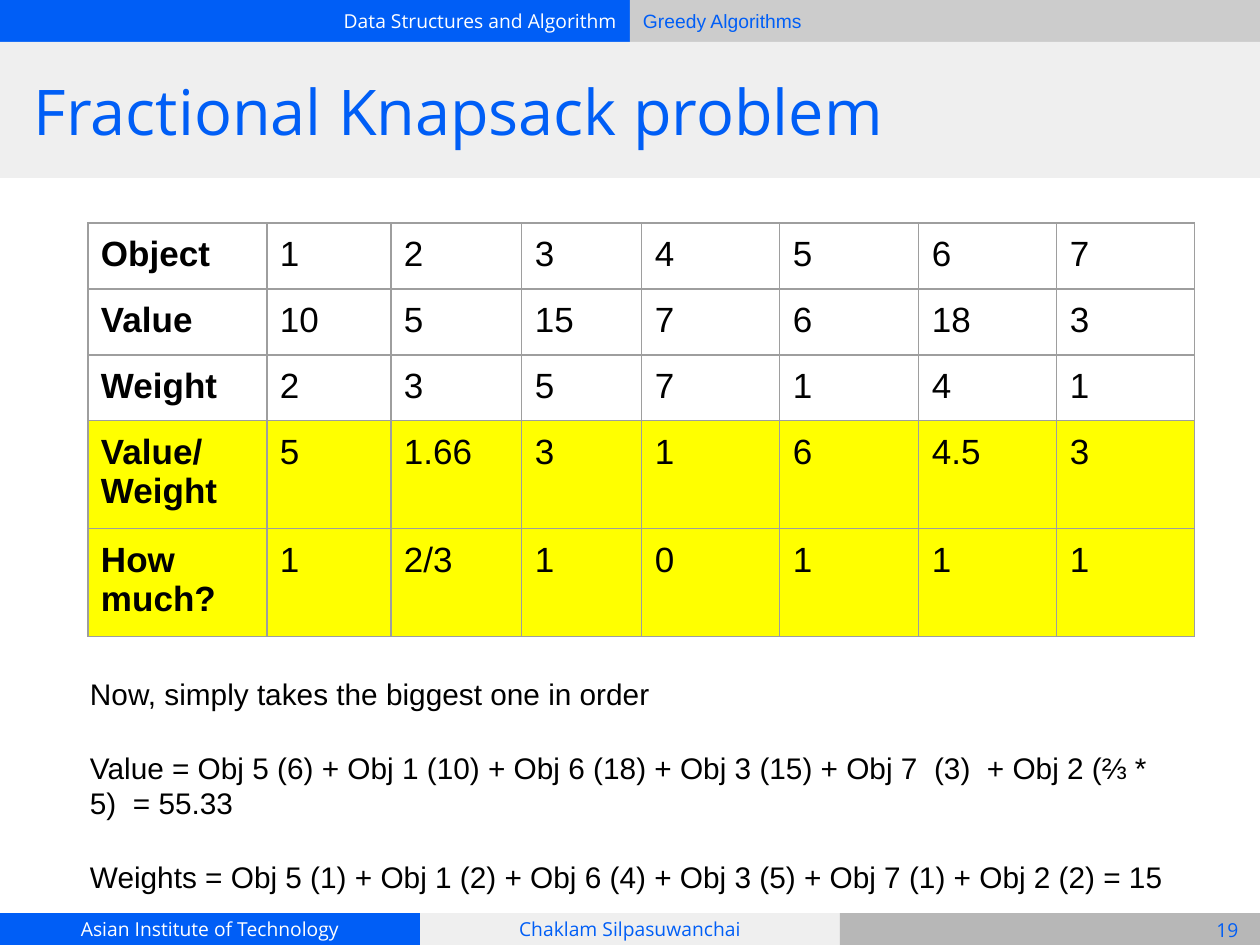
"""Build the fractional knapsack slide with its value table and greedy totals."""
from dataclasses import dataclass

from lxml import etree
from pptx import Presentation
from pptx.dml.color import RGBColor
from pptx.enum.shapes import MSO_SHAPE
from pptx.enum.text import MSO_ANCHOR, PP_ALIGN
from pptx.oxml.ns import qn
from pptx.util import Emu, Pt

RECTANGLE = MSO_SHAPE.RECTANGLE
TOP, MIDDLE = MSO_ANCHOR.TOP, MSO_ANCHOR.MIDDLE
LEFT, CENTER, RIGHT = PP_ALIGN.LEFT, PP_ALIGN.CENTER, PP_ALIGN.RIGHT
EMU_PER_PX = 914400 / 126


@dataclass(frozen=True)
class Theme:
    """Colours, fonts, type sizes in points and paddings in px."""

    blue: str = "005EF6"
    white: str = "FFFFFF"
    black: str = "000000"
    pale: str = "EFEFEF"
    silver: str = "CCCCCC"
    grey: str = "B7B7B7"
    highlight: str = "FFFF00"
    border: str = "9E9E9E"
    display_font: str = "Open Sans"
    body_font: str = "Arial"
    title_size: int = 36
    table_size: int = 20
    body_size: int = 17
    band_size: int = 11
    border_width: float = 0.75
    paragraph_gap: float = 21.6
    side_padding: int = 13
    end_padding: int = 12


THEME = Theme()


@dataclass(frozen=True)
class Box:
    """A rectangle on the slide in px."""

    left: int
    top: int
    width: int
    height: int


@dataclass(frozen=True)
class Band:
    """A filled strip with an optional label."""

    box: Box
    fill: str
    label: str = ""
    color: str = THEME.blue
    font: str = THEME.display_font
    align: PP_ALIGN = CENTER


@dataclass(frozen=True)
class Row:
    """A table row with a bold heading."""

    heading: str
    values: tuple[str, ...]
    height: int = 64
    highlighted: bool = False


SLIDE = Box(0, 0, 1260, 945)
TITLE_BOX = Box(21, 42, 1218, 136)
PAGE_BOX = Box(1195, 915, 65, 30)
TABLE_ORIGIN = (88, 223)
COLUMN_WIDTHS = (179, 124, 131, 120, 138, 139, 138, 138)
WORKING_BOX = Box(77, 664, 1108, 215)

BANDS = (
    Band(Box(0, 0, 630, 42), THEME.blue, "Data Structures and Algorithm", THEME.white, align=RIGHT),
    Band(Box(630, 0, 630, 42), THEME.silver, "Greedy Algorithms", font=THEME.body_font, align=LEFT),
    Band(Box(0, 913, 420, 32), THEME.blue, "Asian Institute of Technology", THEME.white),
    Band(Box(420, 913, 420, 32), THEME.pale, "Chaklam Silpasuwanchai"),
    Band(Box(840, 913, 420, 32), THEME.grey),
    Band(Box(0, 42, 1260, 136), THEME.pale),
)

ROWS = (
    Row("Object", ("1", "2", "3", "4", "5", "6", "7")),
    Row("Value", ("10", "5", "15", "7", "6", "18", "3")),
    Row("Weight", ("2", "3", "5", "7", "1", "4", "1")),
    Row("Value/\nWeight", ("5", "1.66", "3", "1", "6", "4.5", "3"), 103, True),
    Row("How much?", ("1", "2/3", "1", "0", "1", "1", "1"), 103, True),
)

WORKING = (
    "Now, simply takes the biggest one in order",
    "Value = Obj 5 (6) + Obj 1 (10) + Obj 6 (18) + Obj 3 (15) + Obj 7  (3)  + Obj 2 (⅔ * 5)  = 55.33",
    "Weights = Obj 5 (1) + Obj 1 (2) + Obj 6 (4) + Obj 3 (5) + Obj 7 (1) + Obj 2 (2) = 15",
)


def px(length: int) -> Emu:
    """Turn px into EMU."""
    return Emu(round(length * EMU_PER_PX))


def place(box: Box) -> tuple[Emu, ...]:
    """Give left, top, width and height in EMU."""
    return px(box.left), px(box.top), px(box.width), px(box.height)


def set_all(target, values: dict) -> None:
    """Set every attribute named in the format values."""
    for name, value in values.items():
        setattr(target, name, value)


def write(frame, text: str, font: str, size: int, color: str, align=LEFT,
          bold: bool = False, gap: float = 0) -> None:
    """Fill a text frame and format each of its paragraphs."""
    frame.text = text
    for index, paragraph in enumerate(frame.paragraphs):
        set_all(paragraph, {"alignment": align, "space_before": Pt(gap if index else 0)})
        for run in paragraph.runs:
            set_all(run.font, {"name": font, "size": Pt(size), "bold": bold})
            run.font.color.rgb = RGBColor.from_string(color)


def set_frame(frame, anchor, end_padding: int = 0) -> None:
    """Wrap, anchor and pad a text frame."""
    set_all(frame, {
        "word_wrap": True,
        "vertical_anchor": anchor,
        "margin_left": px(THEME.side_padding),
        "margin_right": px(THEME.side_padding),
        "margin_top": px(end_padding),
        "margin_bottom": px(end_padding),
    })


def draw_band(slide, band: Band) -> None:
    """Draw one strip and its label."""
    strip = slide.shapes.add_shape(RECTANGLE, *place(band.box))
    strip.shadow.inherit = False
    strip.fill.solid()
    strip.fill.fore_color.rgb = RGBColor.from_string(band.fill)
    strip.line.fill.background()
    if band.label:
        set_frame(strip.text_frame, MIDDLE)
        write(strip.text_frame, band.label, band.font, THEME.band_size, band.color, band.align)


def draw_title(slide, text: str) -> None:
    """Place the title in front of its band."""
    title = slide.shapes.title
    set_all(title, dict(zip(("left", "top", "width", "height"), place(TITLE_BOX))))
    set_frame(title.text_frame, MIDDLE)
    write(title.text_frame, text, THEME.display_font, THEME.title_size, THEME.blue)
    slide.shapes.element.append(title.element)


def draw_text(slide, box: Box, text: str, anchor, end_padding: int = 0, **style) -> None:
    """Draw a text box."""
    frame = slide.shapes.add_textbox(*place(box)).text_frame
    set_frame(frame, anchor, end_padding)
    write(frame, text, **style)


def outline_cell(cell) -> None:
    """Draw the four borders of a cell."""
    properties = cell._tc.get_or_add_tcPr()
    for index, side in enumerate(("a:lnL", "a:lnR", "a:lnT", "a:lnB")):
        line = etree.Element(qn(side), w=str(Pt(THEME.border_width)))
        fill = etree.SubElement(line, qn("a:solidFill"))
        etree.SubElement(fill, qn("a:srgbClr"), val=THEME.border)
        properties.insert(index, line)


def format_cell(cell, text: str, bold: bool, highlighted: bool) -> None:
    """Write, pad, fill and outline one cell."""
    side, end = px(THEME.side_padding), px(THEME.end_padding)
    set_all(cell, {"margin_left": side, "margin_right": side, "margin_top": end,
                   "margin_bottom": end, "vertical_anchor": TOP})
    write(cell.text_frame, text, THEME.body_font, THEME.table_size, THEME.black, bold=bold)
    if highlighted:
        cell.fill.solid()
        cell.fill.fore_color.rgb = RGBColor.from_string(THEME.highlight)
    else:
        cell.fill.background()
    outline_cell(cell)


def draw_table(slide) -> None:
    """Draw the table of objects."""
    box = Box(*TABLE_ORIGIN, sum(COLUMN_WIDTHS), sum(row.height for row in ROWS))
    table = slide.shapes.add_table(len(ROWS), len(COLUMN_WIDTHS), *place(box)).table
    set_all(table, {"first_row": False, "horz_banding": False})
    for column, width in zip(table.columns, COLUMN_WIDTHS):
        column.width = px(width)
    for row_index, row in enumerate(ROWS):
        table.rows[row_index].height = px(row.height)
        for index, text in enumerate((row.heading, *row.values)):
            format_cell(table.cell(row_index, index), text, index == 0, row.highlighted)


def main() -> None:
    """Build and save the slide."""
    deck = Presentation()
    set_all(deck, {"slide_width": px(SLIDE.width), "slide_height": px(SLIDE.height)})
    slide = deck.slides.add_slide(deck.slide_layouts.get_by_name("Title Only"))
    for band in BANDS:
        draw_band(slide, band)
    draw_text(slide, PAGE_BOX, "19", MIDDLE, font=THEME.display_font,
              size=THEME.band_size, color=THEME.blue, align=CENTER)
    draw_table(slide)
    draw_text(slide, WORKING_BOX, "\n".join(WORKING), TOP, THEME.end_padding, font=THEME.body_font,
              size=THEME.body_size, color=THEME.black, gap=THEME.paragraph_gap)
    draw_title(slide, "Fractional Knapsack problem")
    deck.save("out.pptx")


if __name__ == "__main__":
    main()
